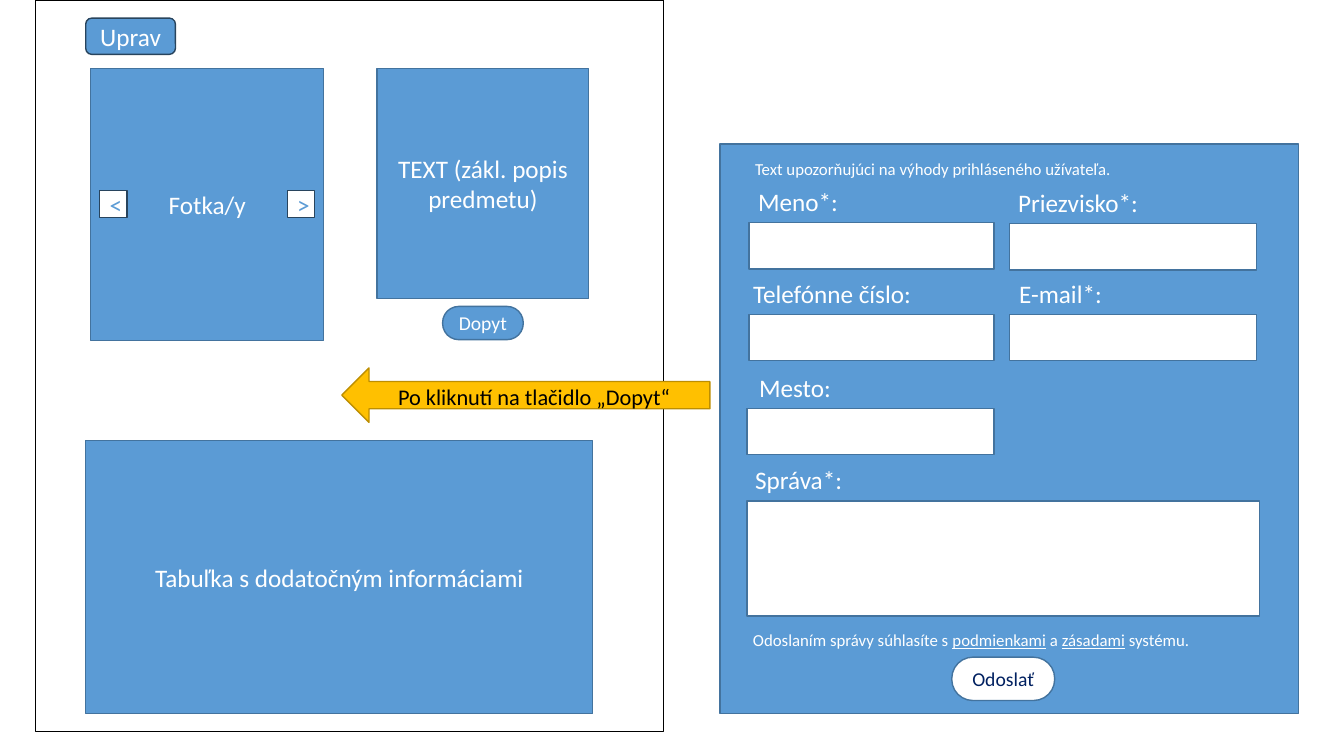
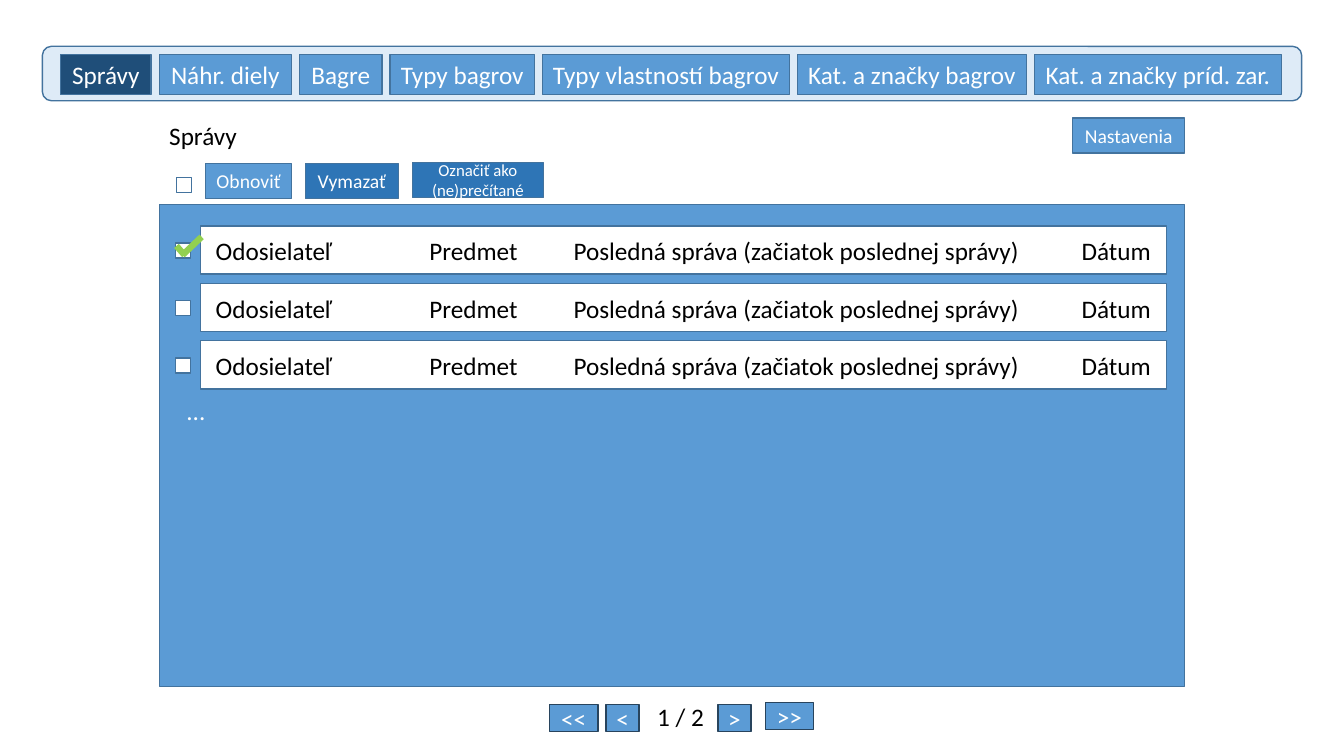
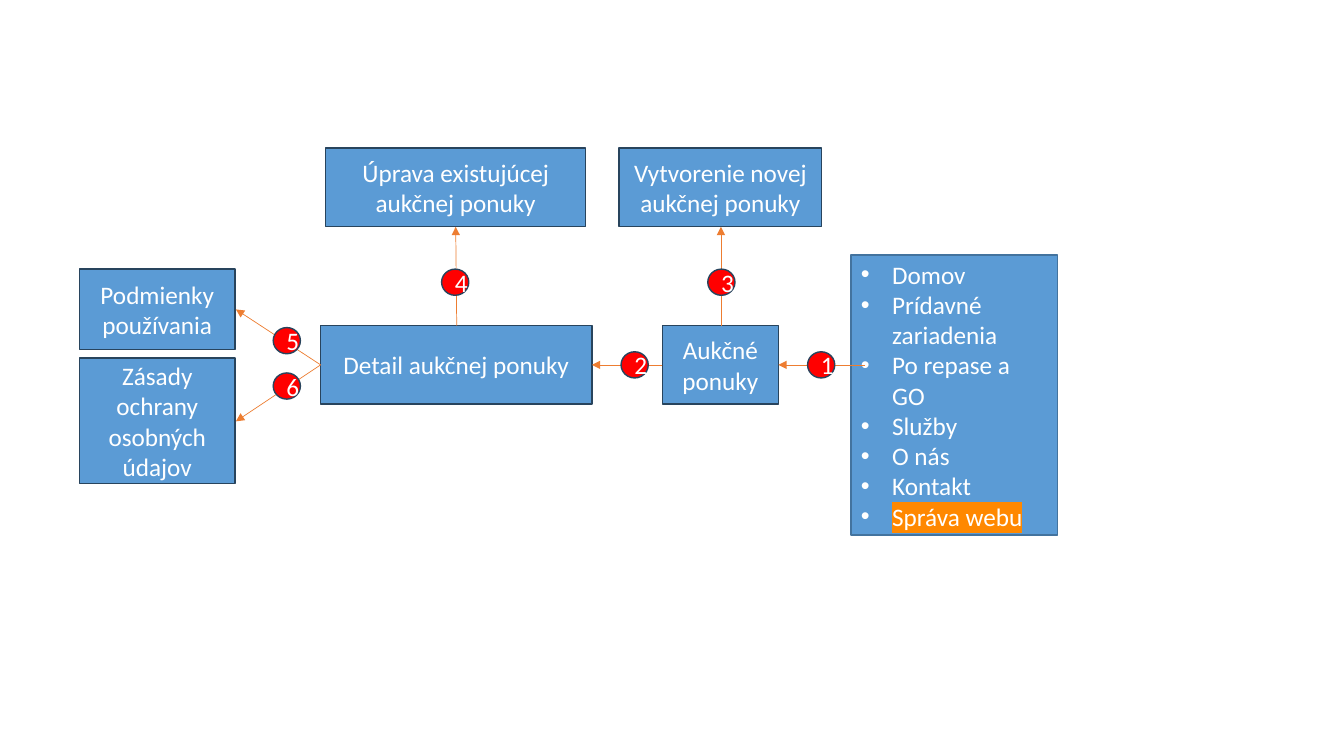
from lxml import etree
from pptx import Presentation
from pptx import util as u
from pptx.dml.color import RGBColor
from pptx.enum import shapes, text
from pptx.oxml import ns

PX = 9144  # one px is a hundredth of an inch
FONT = "Calibri"
BLUE, DEEP_BLUE, NAVY, PALE_BLUE = "5B9BD5", "2E75B6", "1F4E79", "DEEBF7"
EDGE, DARK_EDGE = "43739E", "28445D"
WHITE, BLACK, INK = "FFFFFF", "000000", "002060"
GOLD, GOLD_EDGE, ORANGE, RED, GREEN = "FFC000", "BD8E00", "ED7D31", "FF0000", "92D050"
HIGHLIGHT = "FF8800"

KIND = shapes.MSO_SHAPE
LEFT, CENTER = text.PP_ALIGN.LEFT, text.PP_ALIGN.CENTER


def px(count):
    return u.Emu(count * PX)


def rgb(color):
    return RGBColor.from_string(color)


def add_xml(parent, tag, **attributes):
    return etree.SubElement(parent, ns.qn(tag), attributes)


def style_span(span, size, color):
    span.font.name = FONT
    span.font.size = u.Pt(size)
    span.font.color.rgb = rgb(color)


def write(frame, words, size, color, align):
    frame.text = words
    for para in frame.paragraphs:
        para.alignment = align
        for span in para.runs:
            style_span(span, size, color)


def add_box(page, at, words="", size=18, color=WHITE, fill=BLUE, edge=EDGE,
            kind=KIND.RECTANGLE, align=CENTER):
    """Preset shape with optional text."""
    box = page.shapes.add_shape(kind, *map(px, at))
    box.shadow.inherit = False
    if fill:
        box.fill.solid()
        box.fill.fore_color.rgb = rgb(fill)
    else:
        box.fill.background()
    box.line.color.rgb = rgb(edge)
    box.line.width = u.Pt(1)
    if words:
        write(box.text_frame, words, size, color, align)
    return box


def add_pill(page, at, words, **style):
    pill = add_box(page, at, words, size=14, kind=KIND.ROUNDED_RECTANGLE, **style)
    pill.adjustments[0] = 0.486


def add_label(page, at, words, size=18, color=BLACK, wrap=True):
    """Plain text that sizes its own box."""
    label = page.shapes.add_textbox(*map(px, at))
    label.text_frame.word_wrap = wrap
    label.text_frame.auto_size = text.MSO_AUTO_SIZE.SHAPE_TO_FIT_TEXT
    write(label.text_frame, words, size, color, LEFT)
    return label


def add_line(page, start, end, color, width, arrow=False):
    line = page.shapes.add_connector(
        shapes.MSO_CONNECTOR.STRAIGHT, *map(px, (*start, *end)))
    line.line.color.rgb = rgb(color)
    line.line.width = u.Pt(width)
    if arrow:
        add_xml(line.line._get_or_add_ln(), "a:tailEnd", type="triangle")
    add_xml(line._element.spPr, "a:effectLst")


def add_bullet(para):
    props = para._p.get_or_add_pPr()
    props.set("marL", str(31 * PX))
    props.set("indent", str(-31 * PX))
    add_xml(props, "a:buFont", typeface="Arial")
    add_xml(props, "a:buChar", char="•")


def highlight(span, color):
    mark = etree.Element(ns.qn("a:highlight"))
    add_xml(mark, "a:srgbClr", val=color)
    span.font._element.find(ns.qn("a:solidFill")).addnext(mark)


def build_inquiry(page):
    # Item detail
    add_box(page, (90, 68, 231, 270), "Fotka/y")
    add_box(page, (374, 68, 210, 228), "TEXT (zákl. popis predmetu)")
    add_pill(page, (439, 304, 80, 33), "Dopyt")
    add_box(page, (85, 437, 503, 271), "Tabuľka s dodatočným informáciami")

    # Inquiry form: label, its left and width, then the field
    add_box(page, (714, 143, 574, 565))
    fields = [
        ("Meno*:", 742, 100, (743, 221, 243, 46)),
        ("Priezvisko*:", 1000, 140, (1001, 222, 245, 46)),
        ("Telefónne číslo:", 737, 179, (743, 312, 243, 46)),
        ("E-mail*:", 1001, 103, (1001, 312, 245, 46)),
        ("Mesto:", 743, 92, (741, 405, 245, 46)),
        ("Správa*:", 739, 108, (741, 497, 508, 114)),
    ]
    for words, left, width, field in fields:
        add_box(page, field, fill=WHITE)
        add_label(page, (left, field[1] - 41, width, 40), words, color=WHITE, wrap=False)
    add_label(page, (739, 153, 376, 30),
              "Text upozorňujúci na výhody prihláseného užívateľa.", 12, WHITE, wrap=False)
    add_pill(page, (944, 652, 102, 43), "Odoslať", color=INK, fill=WHITE)

    # Consent line with underlined terms
    consent = add_label(page, (737, 620, 667, 30), "Odoslaním správy súhlasíte s ", 12, WHITE)
    for words, underlined in [("podmienkami", True), (" a ", False),
                              ("zásadami", True), (" systému.", False)]:
        span = consent.text_frame.paragraphs[0].add_run()
        span.text = words
        style_span(span, 12, WHITE)
        span.font.underline = underlined

    # Page frame, arrow and small buttons
    add_box(page, (35, 0, 623, 726), fill=None, edge=BLACK)
    arrow = add_box(page, (339, 365, 365, 54), fill=GOLD, edge=GOLD_EDGE, kind=KIND.RIGHT_ARROW)
    arrow.rotation = 180
    add_label(page, (385, 375, 296, 37), "Po kliknutí na tlačidlo „Dopyt“", 16)
    add_box(page, (85, 18, 89, 36), "Uprav", edge=DARK_EDGE, kind=KIND.ROUNDED_RECTANGLE)
    for left, sign in [(99, "<"), (285, ">")]:
        add_box(page, (left, 189, 27, 27), sign, color=BLUE, fill=WHITE, edge=DARK_EDGE)


def build_messages(page):
    # Tab bar
    add_box(page, (42, 46, 1249, 54), fill=PALE_BLUE, kind=KIND.ROUNDED_RECTANGLE)
    tabs = [("Správy", 90), ("Náhr. diely", 131), ("Bagre", 82), ("Typy bagrov", 143),
            ("Typy vlastností bagrov", 245), ("Kat. a značky bagrov", 227),
            ("Kat. a značky príd. zar.", 245)]
    left = 60
    for words, width in tabs:
        add_box(page, (left, 54, width, 40), words, fill=NAVY if words == "Správy" else BLUE)
        left += width + 8

    # Heading and tools
    add_label(page, (158, 114, 88, 40), "Správy", wrap=False)
    add_box(page, (175, 176, 15, 15), fill=WHITE)
    add_box(page, (1064, 117, 111, 35), "Nastavenia", 14)
    add_box(page, (204, 162, 85, 35), "Obnoviť", 14)
    add_box(page, (303, 162, 92, 35), "Vymazať", 14, fill=DEEP_BLUE)
    add_box(page, (409, 161, 130, 35), "Označiť ako (ne)prečítané", 12, fill=DEEP_BLUE)

    # Message list
    add_box(page, (158, 203, 1017, 478))
    columns = [("Odosielateľ", 204, 142), ("Predmet", 416, 142),
               ("Posledná správa (začiatok poslednej správy)", 559, 470),
               ("Dátum", 1063, 91)]
    for row in range(3):
        top = 224 + 57 * row
        add_box(page, (199, top, 958, 48), fill=WHITE)
        add_box(page, (174, top + 17, 15, 15), fill=WHITE)
        for words, left, width in columns:
            add_label(page, (left, top + 5, width, 40), words)
    add_label(page, (175, 387, 39, 40), "...", color=WHITE, wrap=False)

    # Check mark
    add_line(page, (183, 253), (175, 244), GREEN, 4.5)
    add_line(page, (181, 253), (200, 235), GREEN, 4.5)

    # Pager
    add_label(page, (642, 691, 72, 40), "1 / 2")
    for sign, left, top, width in [("<<", 545, 699, 48), ("<", 601, 699, 33),
                                   (">", 712, 699, 33), (">>", 759, 697, 48)]:
        add_box(page, (left, top, width, 27), sign, edge=DARK_EDGE)


def build_auction_map(page):
    # Main menu
    entries = ["Domov", "Prídavné zariadenia", "Po repase a GO", "Služby",
               "O nás", "Kontakt", "Správa webu"]
    menu = add_box(page, (844, 253, 205, 278), "\n".join(entries), align=LEFT)
    for para in menu.text_frame.paragraphs:
        add_bullet(para)
    highlight(para.runs[0], HIGHLIGHT)

    # Pages
    for words, at in [
        ("Aukčné ponuky", (657, 323, 115, 78)),
        ("Detail aukčnej ponuky", (318, 323, 269, 78)),
        ("Úprava existujúcej aukčnej ponuky", (323, 147, 258, 78)),
        ("Vytvorenie novej aukčnej ponuky", (614, 147, 201, 78)),
        ("Zásady ochrany osobných údajov", (79, 355, 154, 125)),
        ("Podmienky používania", (79, 267, 154, 80)),
    ]:
        add_box(page, at, words, edge=DARK_EDGE)

    # Numbered steps: arrow from, arrow to, badge corner
    steps = [
        ((858, 362), (772, 362), (801, 349)),
        ((657, 362), (587, 362), (616, 349)),
        ((715, 323), (715, 225), (702, 267)),
        ((453, 323), (452, 225), (438, 267)),
        ((318, 362), (234, 307), (271, 325)),
        ((318, 362), (234, 418), (271, 370)),
    ]
    for number, (start, end, badge) in enumerate(steps, 1):
        add_line(page, start, end, ORANGE, 0.5, arrow=True)
        add_box(page, (*badge, 27, 26), str(number), fill=RED, edge=DARK_EDGE, kind=KIND.OVAL)


def main():
    deck = Presentation()
    deck.slide_width, deck.slide_height = px(1333), px(750)
    for build in (build_inquiry, build_messages, build_auction_map):
        build(deck.slides.add_slide(deck.slide_layouts[6]))
    deck.save("out.pptx")


if __name__ == "__main__":
    main()
